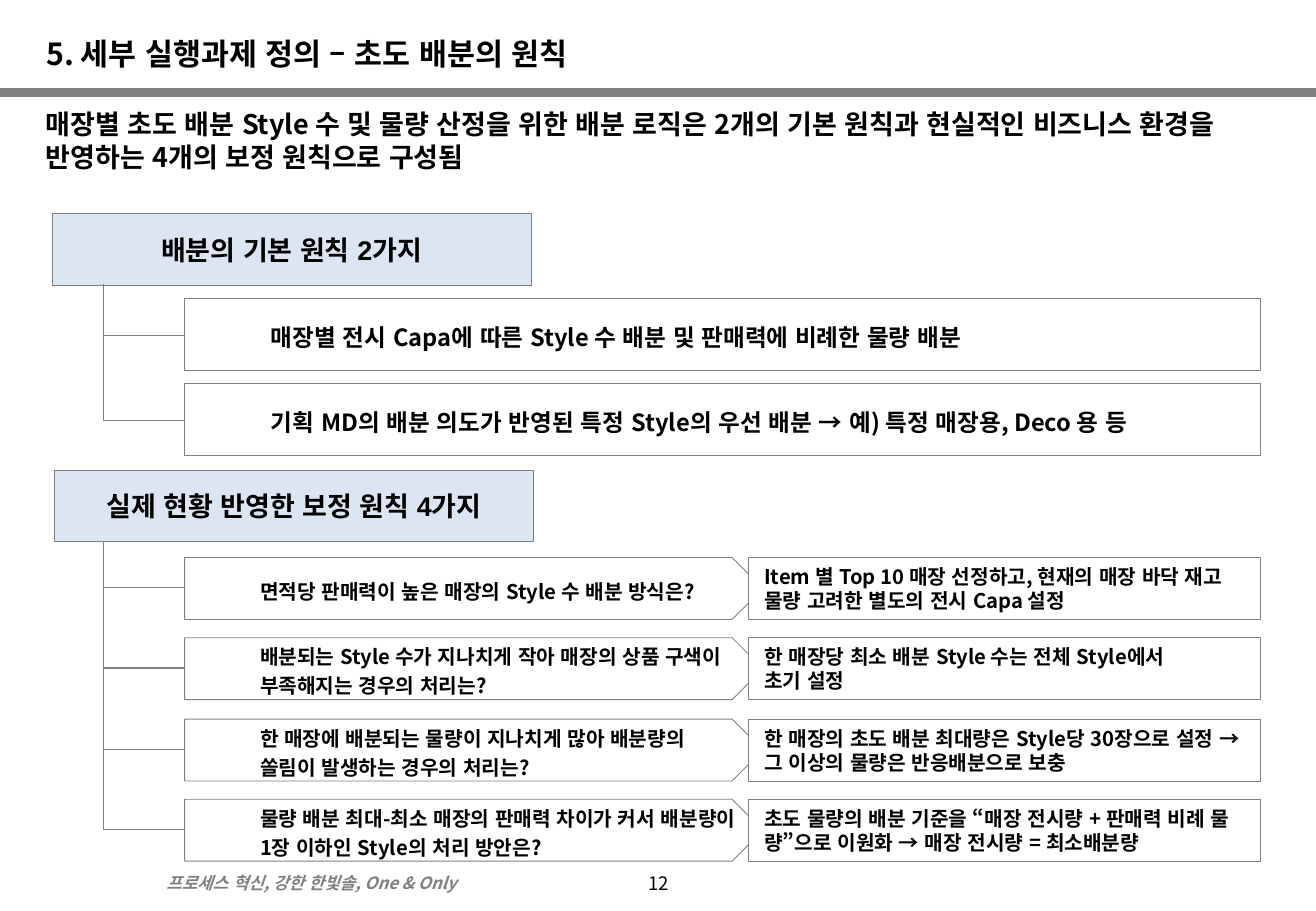
"""Builds the slide on the principles of initial store allocation."""
from lxml import etree
from pptx import Presentation
from pptx import util as u
from pptx.dml.color import RGBColor
from pptx.enum import shapes, text
from pptx.oxml.ns import qn

PX = u.Inches(0.01)
FONT = "Noto Sans CJK KR"
COLORS = {"ink": "000000", "gray": "808080", "paper": "FFFFFF", "heading": "DCE6F2"}
LEFT, CENTER = text.PP_ALIGN.LEFT, text.PP_ALIGN.CENTER
TOP, MIDDLE = text.MSO_ANCHOR.TOP, text.MSO_ANCHOR.MIDDLE

TRUNK_X, BRANCH_X, RIGHT = 85, 152, 1037
HEAD_W, HEAD_H = 394, 59
RULE_TOP, RULE_STEP = 246, 70
CASE_TOP, CASE_STEP, CASE_H = 459, 66.33, 51
PLATE_W, ANSWER_X = 476, 616

RULES = [
    "매장별 전시 Capa에 따른 Style 수 배분 및 판매력에 비례한 물량 배분",
    "기획 MD의 배분 의도가 반영된 특정 Style의 우선 배분 → 예) 특정 매장용, Deco 용 등",
]
CASES = [
    ("면적당 판매력이 높은 매장의 Style 수 배분 방식은?",
     "Item 별 Top 10 매장 선정하고, 현재의 매장 바닥 재고 물량 고려한 별도의 전시 Capa 설정"),
    ("배분되는 Style 수가 지나치게 작아 매장의 상품 구색이 부족해지는 경우의 처리는?",
     "한 매장당 최소 배분 Style 수는 전체 Style에서\n초기 설정"),
    ("한 매장에 배분되는 물량이 지나치게 많아 배분량의 쏠림이 발생하는 경우의 처리는?",
     "한 매장의 초도 배분 최대량은 Style당 30장으로 설정 → 그 이상의 물량은 반응배분으로 보충"),
    ("물량 배분 최대-최소 매장의 판매력 차이가 커서 배분량이 1장 이하인 Style의 처리 방안은?",
     "초도 물량의 배분 기준을 “매장 전시량 + 판매력 비례 물량”으로 이원화 → 매장 전시량 = 최소배분량"),
]


def rgb(name):
    return RGBColor.from_string(COLORS[name])


def write(sp, words, size, spacing=1.2, align=LEFT, anchor=MIDDLE, margins=(10, 5, 10, 5),
          color="ink", bold=True, italic=False, font=FONT):
    tf = sp.text_frame
    tf.word_wrap = True
    tf.auto_size = text.MSO_AUTO_SIZE.NONE
    tf.vertical_anchor = anchor
    tf.margin_left, tf.margin_top, tf.margin_right, tf.margin_bottom = [m * PX for m in margins]
    p = tf.paragraphs[0]
    p.text = words
    p.alignment = align
    p.space_before = u.Pt(0)
    p.line_spacing = u.Pt(round(size * spacing, 1))
    p.font.size, p.font.bold, p.font.italic = u.Pt(size), bold, italic
    p.font.color.rgb = rgb(color)
    p.font.name = font
    props = p._p.pPr.find(qn("a:defRPr"))
    props.set("kern", "0")
    etree.SubElement(props, qn("a:ea")).set("typeface", FONT)
    for r in p.runs:
        r._r.get_or_add_rPr().set("lang", "ko-KR")
        r._r.rPr.set("kern", "0")


def add_text(s, x, y, w, h, words, size, **style):
    sp = s.shapes.add_textbox(x * PX, y * PX, w * PX, h * PX)
    write(sp, words, size, **style)


def add_box(s, x, y, w, h, words, size, fill="paper", kind=shapes.MSO_SHAPE.RECTANGLE, **style):
    sp = s.shapes.add_shape(kind, x * PX, y * PX, w * PX, h * PX)
    sp.shadow.inherit = False
    sp.fill.solid()
    sp.fill.fore_color.rgb = rgb(fill)
    sp.line.color.rgb = rgb("gray")
    sp.line.width = u.Pt(0.5)
    write(sp, words, size, **style)


def add_line(s, x1, y1, x2, y2, width=0.75, kind=shapes.MSO_CONNECTOR.STRAIGHT):
    ln = s.shapes.add_connector(kind, x1 * PX, y1 * PX, x2 * PX, y2 * PX)
    ln.line.color.rgb = rgb("gray")
    ln.line.width = u.Pt(width)
    etree.SubElement(ln._element.spPr, qn("a:effectLst"))
    return ln


def add_tree(s, top, branches):
    for y in branches:
        ln = add_line(s, TRUNK_X, top, BRANCH_X, y, kind=shapes.MSO_CONNECTOR.ELBOW)
        geometry = ln._element.spPr.find(qn("a:prstGeom"))
        bend = etree.SubElement(geometry.find(qn("a:avLst")), qn("a:gd"))
        bend.set("name", "adj1")
        bend.set("fmla", "val 0")


def add_heading(s, x, y, words):
    add_box(s, x, y, HEAD_W, HEAD_H, words, 16, fill="heading", align=CENTER,
            margins=(10, 0, 10, 0), font="Arial")


def add_frame(s):
    title = s.shapes.title
    title.left, title.top, title.width, title.height = [v * PX for v in (28, 24, 1024, 46)]
    write(title, "5. 세부 실행과제 정의 – 초도 배분의 원칙", 18, anchor=TOP)
    add_line(s, 0, 76, 1083, 76, width=5)
    add_text(s, 28, 84, 1026, 83,
             "매장별 초도 배분 Style 수 및 물량 산정을 위한 배분 로직은 2개의 기본 원칙과 "
             "현실적인 비즈니스 환경을 반영하는 4개의 보정 원칙으로 구성됨", 16, anchor=TOP)
    add_text(s, 127, 713, 332, 27, "프로세스 혁신, 강한 한빛솔, One & Only", 10,
             color="gray", italic=True)
    add_text(s, 492, 712, 100, 30, "12", 11, align=CENTER, bold=False)


def add_rules(s):
    add_heading(s, 43, 176, "배분의 기본 원칙 2가지")
    tops = [RULE_TOP + i * RULE_STEP for i in range(len(RULES))]
    for y, rule in zip(tops, RULES):
        add_box(s, BRANCH_X, y, RIGHT - BRANCH_X, HEAD_H, rule, 14, spacing=1.44,
                margins=(71, 0, 10, 0))
    add_tree(s, 234, [y + HEAD_H // 2 + 1 for y in tops])


def add_cases(s):
    add_heading(s, 45, 387, "실제 현황 반영한 보정 원칙 4가지")
    tops = [CASE_TOP + round(i * CASE_STEP) for i in range(len(CASES))]
    for y, (question, answer) in zip(tops, CASES):
        add_box(s, BRANCH_X, y, PLATE_W, CASE_H, question, 12, spacing=1.44,
                kind=shapes.MSO_SHAPE.PENTAGON, margins=(62, 0, 8, 0))
        add_box(s, ANSWER_X, y, RIGHT - ANSWER_X, CASE_H, answer, 12, margins=(13, 0, 8, 0))
    add_tree(s, 446, [y + CASE_H // 2 for y in tops])


def main():
    prs = Presentation()
    prs.slide_width, prs.slide_height = 1083 * PX, 750 * PX
    s = prs.slides.add_slide(prs.slide_layouts[5])
    add_frame(s)
    add_rules(s)
    add_cases(s)
    prs.save("out.pptx")


if __name__ == "__main__":
    main()
